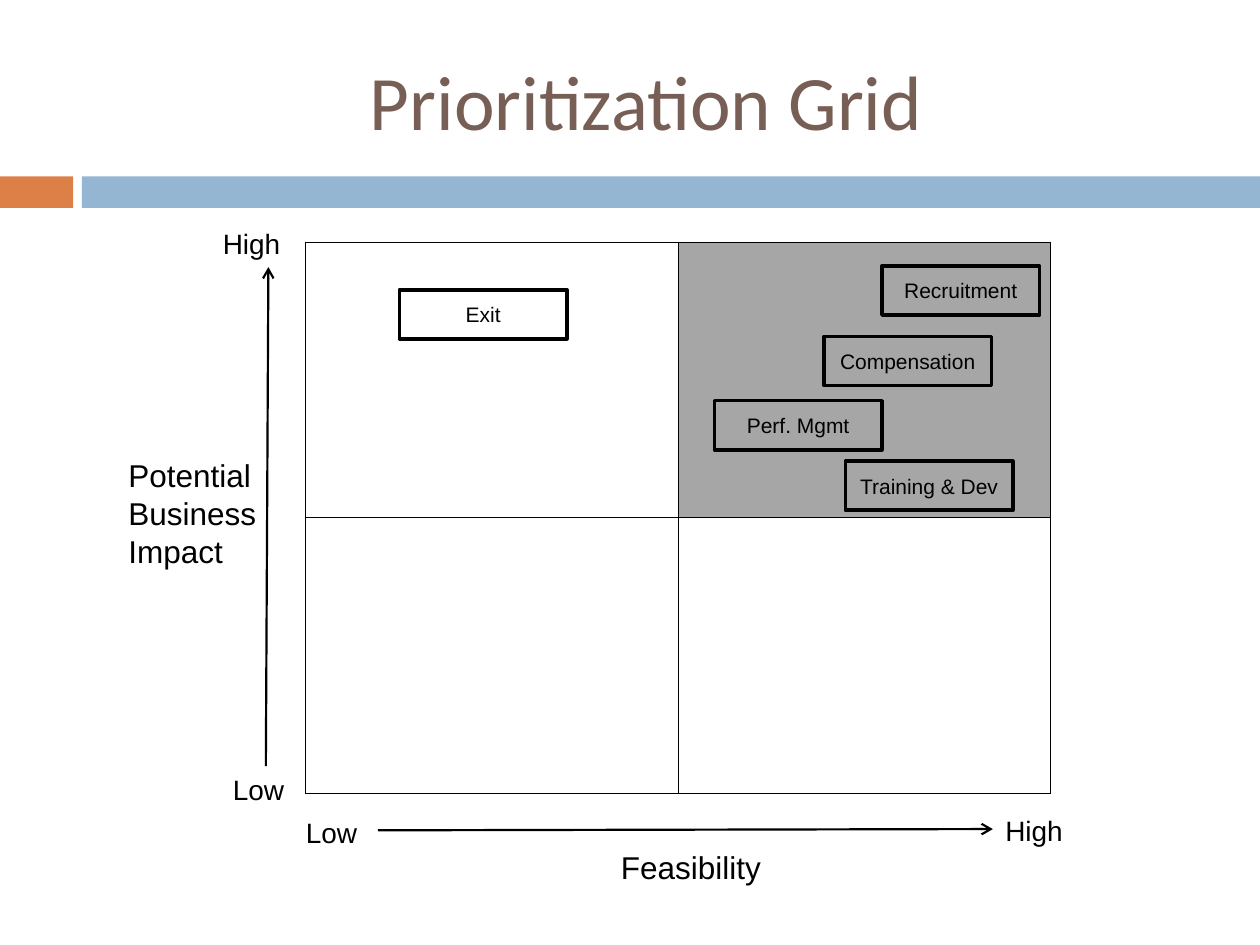
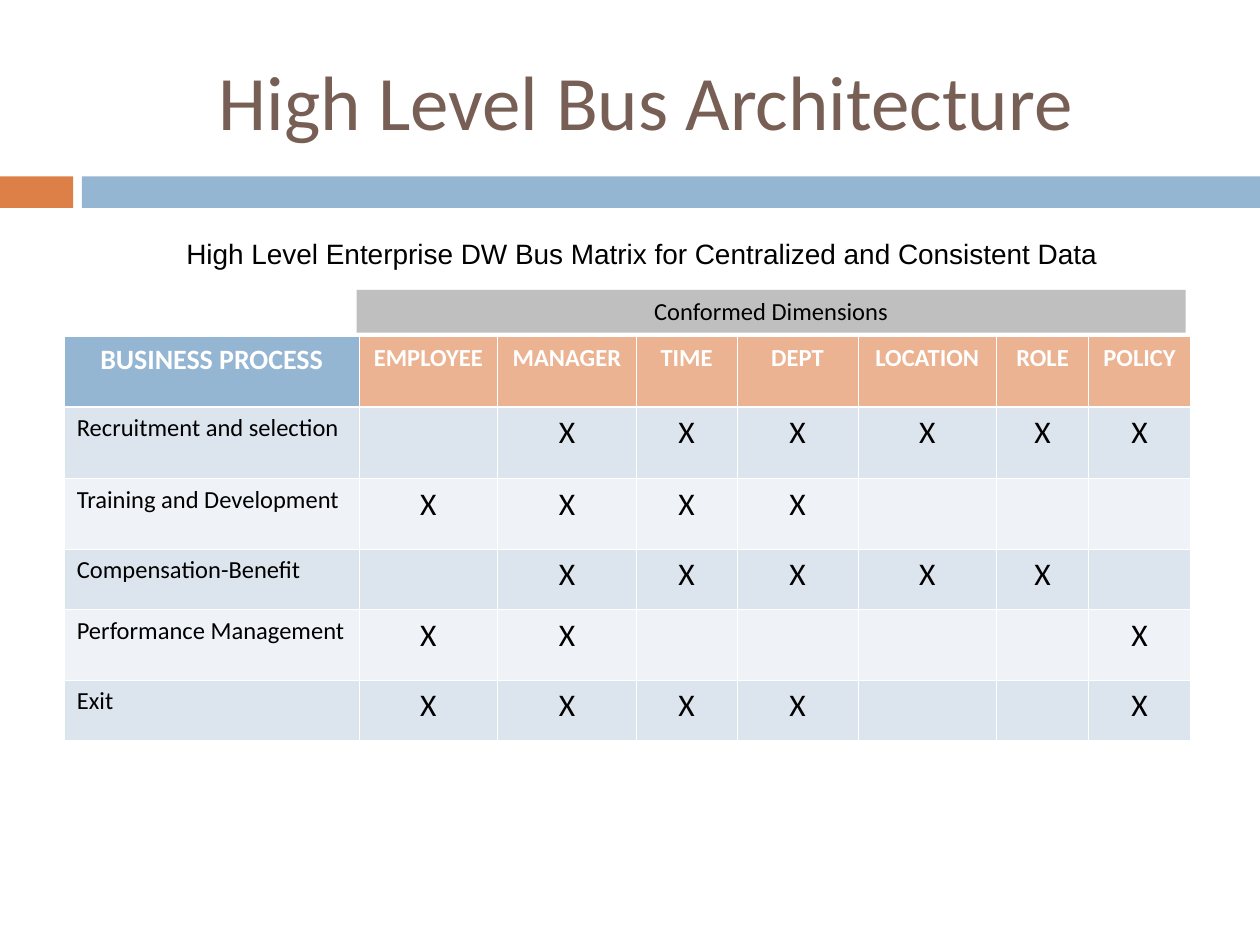
from lxml import etree
from pptx import Presentation
from pptx.dml.color import RGBColor
from pptx.enum.shapes import MSO_CONNECTOR, MSO_SHAPE
from pptx.enum.text import MSO_ANCHOR, PP_ALIGN
from pptx.oxml.ns import qn
from pptx.util import Pt

PX = 9144
RECT = MSO_SHAPE.RECTANGLE
LINE = MSO_CONNECTOR.STRAIGHT
MIDDLE, TOP = MSO_ANCHOR.MIDDLE, MSO_ANCHOR.TOP
LEFT, CENTER = PP_ALIGN.LEFT, PP_ALIGN.CENTER

BLACK = RGBColor(0x00, 0x00, 0x00)
WHITE = RGBColor(0xFF, 0xFF, 0xFF)
BROWN = RGBColor(0x77, 0x5F, 0x55)
ORANGE = RGBColor(0xDD, 0x80, 0x47)
PEACH = RGBColor(0xEB, 0xB3, 0x91)
BLUE = RGBColor(0x94, 0xB6, 0xD2)
PALE = RGBColor(0xDC, 0xE5, 0xEE)
FAINT = RGBColor(0xEF, 0xF3, 0xF7)
GREY = RGBColor(0xA6, 0xA6, 0xA6)
SILVER = RGBColor(0xBF, 0xBF, 0xBF)

SANS, BODY = "Arial", "Calibri"
THIN, THICK = 0.45, 1.47

TITLE = (67, 25, 892, 108)
BANDS = [((0, 140, 58, 25), ORANGE), ((65, 140, 935, 25), BLUE)]

GRID = (242, 192, 592, 438)
TAGS = [
    ("Recruitment", 458, 19, 125),
    ("Compensation", 412, 75, 133),
    ("Perf. Mgmt", 325, 126, 133),
    ("Exit", 75, 38, 133),
    ("Training & Dev", 429, 174, 133),
]
LABELS = [
    ("High", -75, -17, 92, 37, 16),
    ("Potential\nBusiness Impact", -150, 165, 125, 100, 18),
    ("Low", -67, 416, 72, 37, 16),
    ("High", 546, 449, 75, 37, 16),
    ("Low", -9, 450, 67, 37, 16),
    ("Feasibility", 241, 476, 192, 40, 18),
]
ARROWS = [(-31, 416, -29, 20), (58, 467, 546, 466)]

MATRIX = (51, 267, 894, 321)
WIDTHS = [234, 110, 110, 80, 96, 110, 73, 81]
HEIGHTS = [56, 57, 56, 48, 56, 48]
HEADS = ["BUSINESS PROCESS", "EMPLOYEE", "MANAGER", "TIME", "DEPT",
         "LOCATION", "ROLE", "POLICY"]
MARKS = [
    ("Recruitment and selection", "-XXXXXX"),
    ("Training and Development", "XXXX---"),
    ("Compensation-Benefit", "-XXXXX-"),
    ("Performance Management", "XX----X"),
    ("Exit", "XXXX--X"),
]


def emu(*nums):
    return [round(num * PX) for num in nums]


def write(frame, text, size, font=SANS, color=BLACK, align=LEFT, bold=False):
    frame.text = text
    for para in frame.paragraphs:
        para.alignment = align
        for run in para.runs:
            run.font.size = Pt(size)
            run.font.name = font
            run.font.color.rgb = color
            run.font.bold = bold


def add_rect(slide, box, fill=None, edge=None):
    rect = slide.shapes.add_shape(RECT, *emu(*box))
    rect.shadow.inherit = False
    if fill is None:
        rect.fill.background()
    else:
        rect.fill.solid()
        rect.fill.fore_color.rgb = fill
    if edge is None:
        rect.line.fill.background()
    else:
        rect.line.color.rgb = edge
        rect.line.width = Pt(2)
    return rect


def add_label(slide, box, text, size, align=LEFT):
    label = slide.shapes.add_textbox(*emu(*box))
    label.text_frame.word_wrap = True
    write(label.text_frame, text, size, align=align)


def add_arrow(slide, ends):
    arrow = slide.shapes.add_connector(LINE, *emu(*ends))
    arrow.line.color.rgb = BLACK
    arrow.line.width = Pt(1.25)
    line = arrow.line._get_or_add_ln()
    etree.SubElement(line, qn("a:tailEnd"), type="arrow")
    etree.SubElement(arrow.element.spPr, qn("a:effectLst"))


def add_table(slide, box, widths, heights):
    frame = slide.shapes.add_table(len(heights), len(widths), *emu(*box))
    table = frame.table
    table.first_row = table.horz_banding = False
    for col, width in zip(table.columns, widths):
        col.width = round(width * PX)
    for row, height in zip(table.rows, heights):
        row.height = round(height * PX)
    return table


def paint(cell, fill, edge, top=THIN, bottom=THIN):
    props = cell._tc.get_or_add_tcPr()
    for side, width in zip("LRTB", (THIN, THIN, top, bottom)):
        line = etree.SubElement(props, qn(f"a:ln{side}"), w=str(int(Pt(width))))
        solid = etree.SubElement(line, qn("a:solidFill"))
        etree.SubElement(solid, qn("a:srgbClr"), val=str(edge))
    if fill is None:
        cell.fill.background()
    else:
        cell.fill.solid()
        cell.fill.fore_color.rgb = fill


def add_bands(slide):
    tree = slide.slide_layout.element.find(".//" + qn("p:spTree"))
    for box, color in BANDS:
        tree.append(add_rect(slide, box, color).element)


def add_title(slide, text):
    title = slide.shapes.title
    title.left, title.top, title.width, title.height = emu(*TITLE)
    title.text_frame.vertical_anchor = MIDDLE
    write(title.text_frame, text, 44, BODY, BROWN, CENTER)


def draw_grid(slide, box):
    left, top, width, height = box
    table = add_table(slide, box, [width / 2] * 2, [height / 2] * 2)
    for row in range(2):
        for col in range(2):
            best = (row, col) == (0, 1)
            paint(table.cell(row, col), GREY if best else None, BLACK)
    for x1, y1, x2, y2 in ARROWS:
        add_arrow(slide, (left + x1, top + y1, left + x2, top + y2))
    for text, x, y, wide, high, size in LABELS:
        add_label(slide, (left + x, top + y, wide, high), text, size)
    for text, x, y, wide in TAGS:
        tag = add_rect(slide, (left + x, top + y, wide, 39), edge=BLACK)
        tag.text_frame.vertical_anchor = MIDDLE
        write(tag.text_frame, text, 12, align=CENTER)


def draw_matrix(slide, box):
    left, top, width, height = box
    table = add_table(slide, box, WIDTHS, HEIGHTS)
    for col, head in enumerate(HEADS):
        cell = table.cell(0, col)
        paint(cell, PEACH if col else BLUE, WHITE, bottom=THICK)
        write(cell.text_frame, head, 14 if col else 16, BODY, WHITE, CENTER, True)
    for row, (name, marks) in enumerate(MARKS, 1):
        for col, text in enumerate([name, *marks]):
            cell = table.cell(row, col)
            paint(cell, PALE if row % 2 else FAINT, WHITE,
                  top=THICK if row == 1 else THIN)
            if col == 0:
                write(cell.text_frame, text, 14, BODY)
            elif text == "X":
                write(cell.text_frame, text, 18, BODY, align=CENTER)
    add_label(slide, (left - 1, top - 84, 925, 64),
              "High Level Enterprise DW Bus Matrix for Centralized and Consistent Data ",
              16, CENTER)
    strip = add_rect(slide, (left + 232, top - 37, 658, 34), SILVER)
    strip.text_frame.vertical_anchor = TOP
    write(strip.text_frame, "Conformed Dimensions", 14, BODY, align=CENTER)


def main():
    deck = Presentation()
    deck.slide_width, deck.slide_height = emu(1000, 750)
    layout = deck.slide_layouts[5]

    first = deck.slides.add_slide(layout)
    add_bands(first)
    add_title(first, "Prioritization Grid")
    draw_grid(first, GRID)

    second = deck.slides.add_slide(layout)
    add_title(second, "High Level Bus Architecture")
    draw_matrix(second, MATRIX)

    deck.save("out.pptx")


if __name__ == "__main__":
    main()
